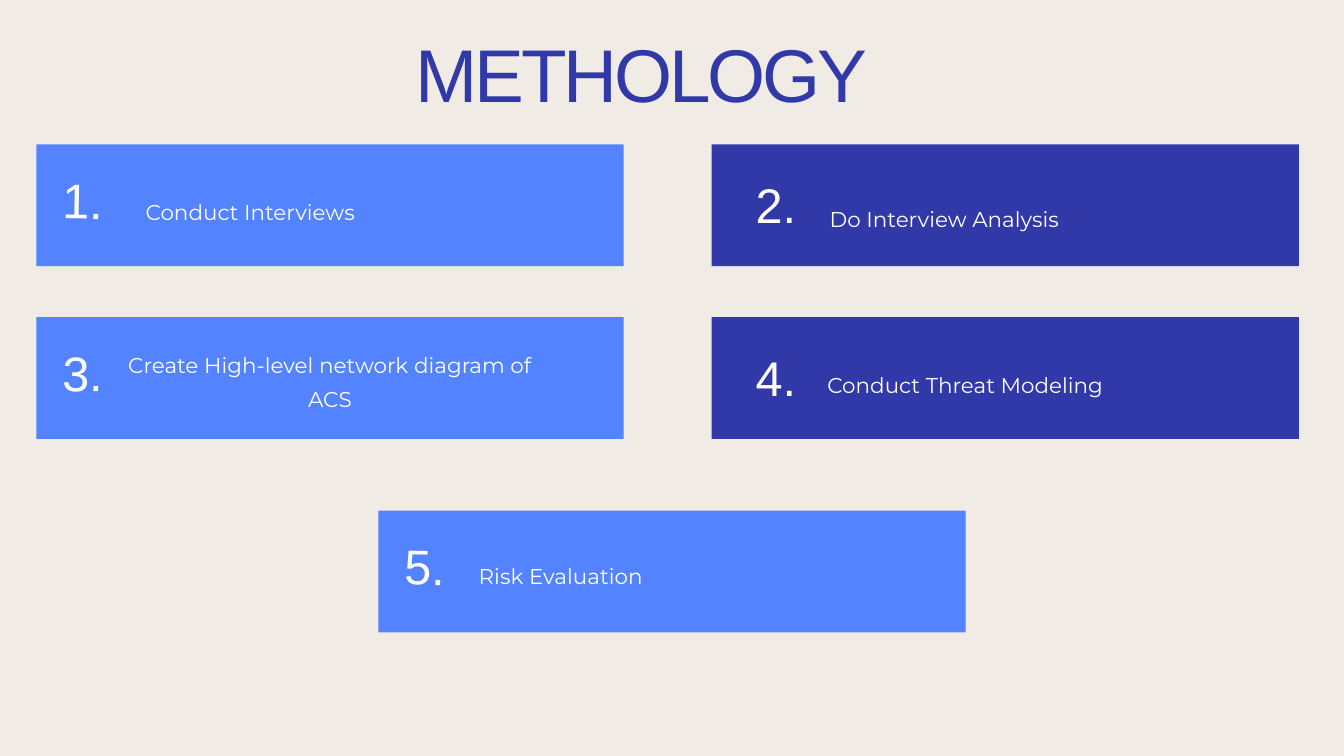
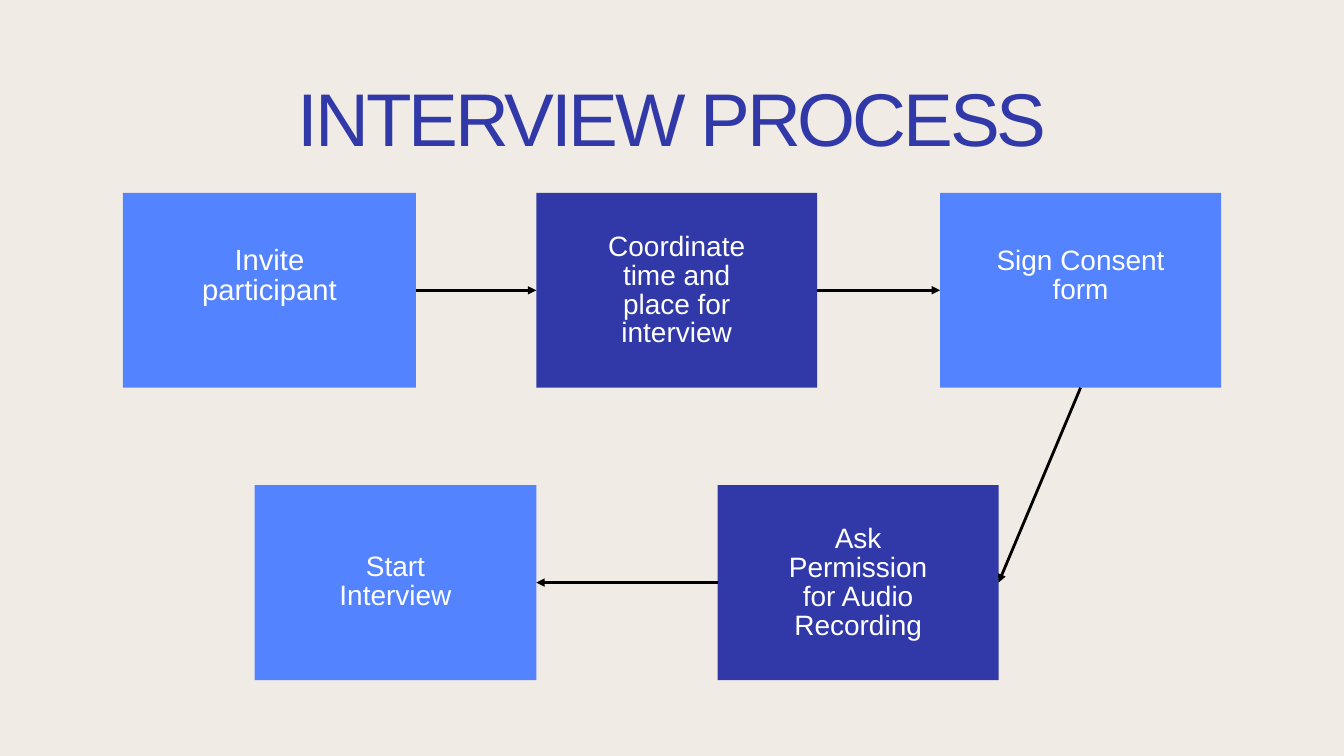
from dataclasses import dataclass
from itertools import pairwise

from lxml import etree
from pptx import Presentation
from pptx import util as u
from pptx.dml.color import RGBColor
from pptx.enum import shapes, text
from pptx.oxml import ns

PX = 9144
CREAM = RGBColor(0xF1, 0xEB, 0xE5)
SKY = RGBColor(0x53, 0x83, 0xFF)
INDIGO = RGBColor(0x31, 0x39, 0xA8)
WHITE = RGBColor(0xFF, 0xFF, 0xFF)
BLACK = RGBColor(0, 0, 0)
TOP, LEFT, BOTTOM, RIGHT = range(4)


@dataclass(frozen=True)
class Area:
    left: int
    top: int
    width: int
    height: int

    def emu(self) -> tuple[int, int, int, int]:
        return self.left * PX, self.top * PX, self.width * PX, self.height * PX

    def inside(self, dx: int, dy: int, width: int, height: int) -> "Area":
        return Area(self.left + dx, self.top + dy, width, height)


@dataclass(frozen=True)
class Style:
    font: str
    size: float
    leading: float
    color: RGBColor = WHITE
    tracking: int = 0


@dataclass(frozen=True)
class NumberMark:
    dx: int
    dy: int
    width: int
    rotation: int


@dataclass(frozen=True)
class Step:
    label: str
    left: int
    top: int
    fill: RGBColor
    label_area: Area


@dataclass(frozen=True)
class Stage:
    label: str
    area: Area
    fill: RGBColor
    label_dy: int
    label_height: int
    style: Style


TITLE = Style("Arial", 80, 80, INDIGO, -340)
NUMBER = Style("Arial", 52.1, 53.6)
STEP_LABEL = Style("Montserrat", 23, 35.9)
FIRST_STAGE = Style("Arial", 31.3, 32.2)
STAGE_LABEL = Style("Arial", 30, 30.9)

NUMBER_MARKS = {SKY: NumberMark(19, 51, 100, 1), INDIGO: NumberMark(33, 58, 125, 0)}
STEP_WIDTH, STEP_HEIGHT = 874, 181
WEST, EAST, MIDDLE = 54, 1059, 563
ROWS = (215, 472, 760)

STEPS = (
    Step("Conduct Interviews", WEST, ROWS[0], SKY, Area(162, 285, 421, 44)),
    Step("Do Interview Analysis", EAST, ROWS[0], INDIGO, Area(1196, 295, 419, 44)),
    Step("Create High-level network diagram of ACS", WEST, ROWS[1], SKY, Area(158, 513, 666, 93)),
    Step("Conduct Threat Modeling", EAST, ROWS[1], INDIGO, Area(1199, 542, 475, 44)),
    Step("Risk Evaluation", MIDDLE, ROWS[2], SKY, Area(683, 826, 303, 44)),
)

STAGE_HEIGHT = 290
UPPER, LOWER = 287, 722
STAGES = (
    Stage("Invite participant", Area(183, UPPER, 436, STAGE_HEIGHT), SKY, 79, 94, FIRST_STAGE),
    Stage("Coordinate time and place for interview", Area(798, UPPER, 418, STAGE_HEIGHT),
          INDIGO, 60, 175, STAGE_LABEL),
    Stage("Sign Consent form", Area(1399, UPPER, 418, STAGE_HEIGHT), SKY, 81, 132, STAGE_LABEL),
    Stage("Ask Permission for Audio Recording", Area(1068, LOWER, 418, STAGE_HEIGHT),
          INDIGO, 60, 175, STAGE_LABEL),
    Stage("Start Interview", Area(379, LOWER, 419, STAGE_HEIGHT), SKY, 102, 89, STAGE_LABEL),
)
ARROW_SIDES = ((RIGHT, LEFT), (RIGHT, LEFT), (BOTTOM, RIGHT), (LEFT, RIGHT))


def write(frame, words: str, style: Style) -> None:
    frame.margin_left = frame.margin_top = frame.margin_right = frame.margin_bottom = 0
    frame.word_wrap = True
    frame.auto_size = text.MSO_AUTO_SIZE.NONE
    frame.vertical_anchor = text.MSO_ANCHOR.TOP
    paragraph = frame.paragraphs[0]
    paragraph.alignment = text.PP_ALIGN.CENTER
    paragraph.line_spacing = u.Pt(style.leading)
    run = paragraph.add_run()
    run.text = words
    run.font.name = style.font
    run.font.size = u.Pt(style.size)
    run.font.color.rgb = style.color
    if style.tracking:
        run._r.get_or_add_rPr().set("spc", str(style.tracking))


def add_slide(deck, heading: str, area: Area):
    slide = deck.slides.add_slide(deck.slide_layouts.get_by_name("Title Only"))
    slide.background.fill.solid()
    slide.background.fill.fore_color.rgb = CREAM
    title = slide.shapes.title
    title.left, title.top, title.width, title.height = area.emu()
    write(title.text_frame, heading, TITLE)
    return slide


def add_panel(slide, area: Area, fill: RGBColor):
    panel = slide.shapes.add_shape(shapes.MSO_SHAPE.RECTANGLE, *area.emu())
    panel.shadow.inherit = False
    panel.fill.solid()
    panel.fill.fore_color.rgb = fill
    panel.line.fill.background()
    return panel


def add_label(slide, area: Area, words: str, style: Style, rotation: int = 0) -> None:
    label = slide.shapes.add_textbox(*area.emu())
    label.rotation = rotation
    write(label.text_frame, words, style)


def add_step(slide, number: int, step: Step) -> None:
    area = Area(step.left, step.top, STEP_WIDTH, STEP_HEIGHT)
    add_panel(slide, area, step.fill)
    mark = NUMBER_MARKS[step.fill]
    add_label(slide, area.inside(mark.dx, mark.dy, mark.width, 81), f"{number}.", NUMBER, mark.rotation)
    add_label(slide, step.label_area, step.label, STEP_LABEL)


def add_stage(slide, stage: Stage):
    panel = add_panel(slide, stage.area, stage.fill)
    inset = stage.area.width // 5
    label_area = stage.area.inside(inset, stage.label_dy, stage.area.width - 2 * inset, stage.label_height)
    add_label(slide, label_area, stage.label, stage.style)
    return panel


def add_arrow(slide, source, source_side: int, target, target_side: int) -> None:
    arrow = slide.shapes.add_connector(shapes.MSO_CONNECTOR.STRAIGHT, 0, 0, 0, 0)
    arrow.begin_connect(source, source_side)
    arrow.end_connect(target, target_side)
    arrow.line.color.rgb = BLACK
    arrow.line.width = u.Pt(3)
    etree.SubElement(arrow.line._get_or_add_ln(), ns.qn("a:tailEnd"), type="triangle")
    etree.SubElement(arrow._element.spPr, ns.qn("a:effectLst"))


def main() -> None:
    deck = Presentation()
    deck.slide_width, deck.slide_height = 2000 * PX, 1125 * PX

    methodology = add_slide(deck, "METHOLOGY", Area(225, 63, 1459, 116))
    for number, step in enumerate(STEPS, 1):
        add_step(methodology, number, step)

    interview = add_slide(deck, "INTERVIEW PROCESS", Area(271, 129, 1459, 116))
    panels = [add_stage(interview, stage) for stage in STAGES]
    for (source, target), (source_side, target_side) in zip(pairwise(panels), ARROW_SIDES):
        add_arrow(interview, source, source_side, target, target_side)

    deck.save("out.pptx")


if __name__ == "__main__":
    main()
